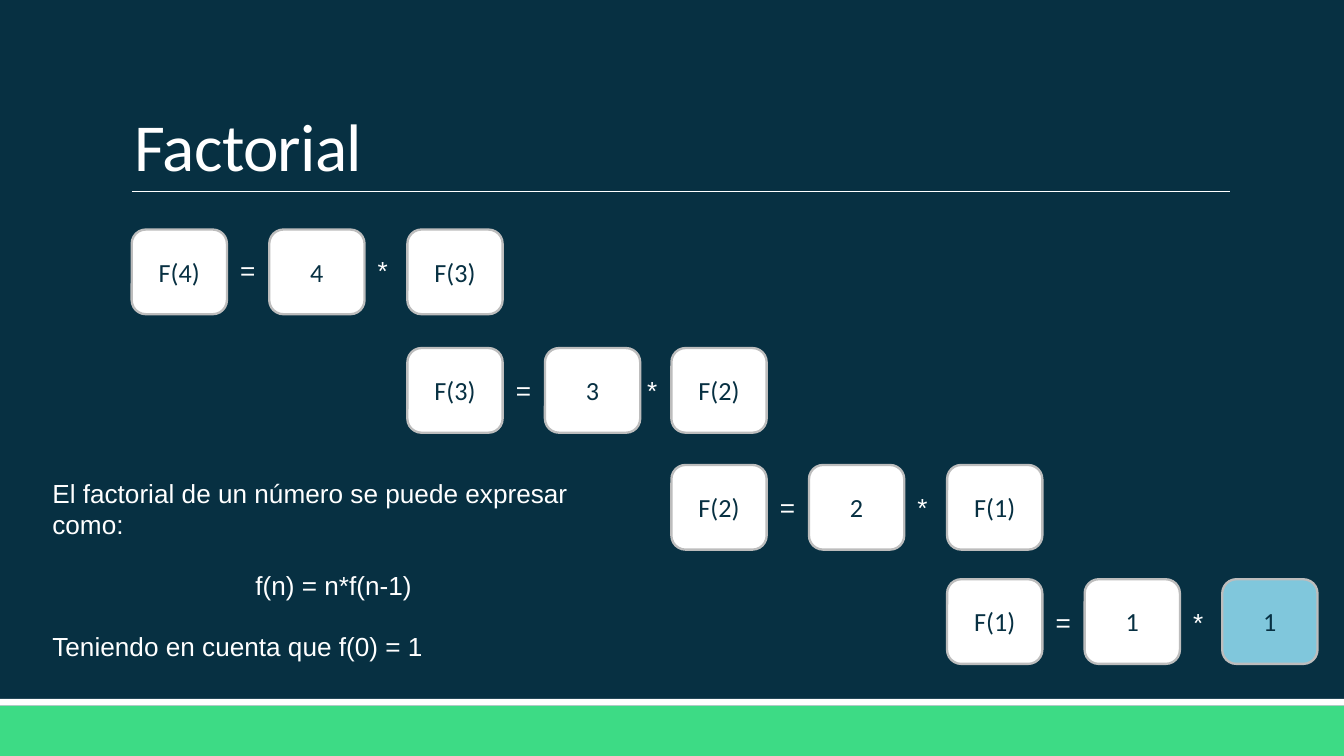
"""Build the slide that unfolds the factorial recursion step by step."""
from lxml import etree
from pptx import Presentation
from pptx.dml.color import RGBColor
from pptx.enum.shapes import MSO_CONNECTOR, MSO_SHAPE
from pptx.enum.text import MSO_ANCHOR, MSO_AUTO_SIZE, PP_ALIGN
from pptx.oxml.ns import qn
from pptx.util import Cm, Pt

RECT, ROUNDED = MSO_SHAPE.RECTANGLE, MSO_SHAPE.ROUNDED_RECTANGLE
STRAIGHT = MSO_CONNECTOR.STRAIGHT
LEFT, CENTER = PP_ALIGN.LEFT, PP_ALIGN.CENTER
MIDDLE, BOTTOM = MSO_ANCHOR.MIDDLE, MSO_ANCHOR.BOTTOM
GROW, FIXED = MSO_AUTO_SIZE.SHAPE_TO_FIT_TEXT, MSO_AUTO_SIZE.NONE

NAVY, WHITE, GREEN, GRAY, BLUE = "073042", "FFFFFF", "3DDB85", "BDBDBD", "80C7DC"
WIDTH, HEIGHT = 25.4, 14.29
TITLE = "Factorial"
NOTES = [
    ("El factorial de un número se puede expresar como:", LEFT, 0),
    ("f(n) = n*f(n-1)", CENTER, 16),
    ("Teniendo en cuenta que f(0) = 1", LEFT, 16),
]
STEPS = [
    (("F(4)", "4", "F(3)"), 4.34, 4.68),
    (("F(3)", "3", "F(2)"), 6.58, 6.96),
    (("F(2)", "2", "F(1)"), 8.79, 9.17),
    (("F(1)", "1", "1"), 10.95, 11.33),
]
STEP_LEFTS = [2.49, 7.7, 12.69, 17.9, 23.1]
CARD_W, CARD_H, CARD_PITCH = 1.8, 1.6, 2.6
EQUALS_W, TIMES_W, SIGN_H = 0.81, 0.71, 0.86
BARS = [(13.34, 0.95, GREEN), (13.21, 0.13, WHITE)]


def rgb(code):
    """Turn a hex string into a colour."""
    return RGBColor.from_string(code)


def add_span(para, text, font="Arial", size=14, color=WHITE):
    """Add one formatted run."""
    span = para.add_run()
    span.text = text
    span.font.name = font
    span.font.size = Pt(size)
    span.font.color.rgb = rgb(color)
    return span


def add_block(page, kind, place, fill, line=None):
    """Add a filled shape with an optional outline."""
    block = page.shapes.add_shape(kind, *map(Cm, place))
    block.shadow.inherit = False
    block.fill.solid()
    block.fill.fore_color.rgb = rgb(fill)
    if line:
        block.line.color.rgb = rgb(line)
        block.line.width = Pt(1.25)
    else:
        block.line.fill.background()
    return block


def add_text(page, place, lines, wrap=False):
    """Add a text box holding (text, alignment, space before) lines."""
    frame = page.shapes.add_textbox(*map(Cm, place)).text_frame
    frame.word_wrap = wrap
    frame.auto_size = GROW
    for index, (text, align, gap) in enumerate(lines):
        para = frame.add_paragraph() if index else frame.paragraphs[0]
        para.alignment = align
        para.space_before = Pt(gap)
        add_span(para, text)


def add_card(page, left, top, text, fill):
    """Add one rounded card of a step."""
    card = add_block(page, ROUNDED, (left, top, CARD_W, CARD_H), fill, GRAY)
    card.text_frame.vertical_anchor = MIDDLE
    para = card.text_frame.paragraphs[0]
    para.alignment = CENTER
    add_span(para, text, "Calibri", 14, NAVY)


def add_step(page, left, next_left, step):
    """Add the three cards of a step and the signs between them."""
    texts, top, sign_top = step
    number_left = left + CARD_PITCH
    for text, card_left in zip(texts, (left, number_left, next_left)):
        is_result = step is STEPS[-1] and card_left == next_left
        add_card(page, card_left, top, text, BLUE if is_result else WHITE)
    times_left = min(number_left + CARD_W, next_left - TIMES_W)
    signs = [("=", left + CARD_W, EQUALS_W), ("*", times_left, TIMES_W)]
    for sign, sign_left, width in signs:
        add_text(page, (sign_left, sign_top, width, SIGN_H), [(sign, LEFT, 0)])


def add_title(page):
    """Place and format the title and the rule under it."""
    rule = page.shapes.add_connector(STRAIGHT, Cm(2.49), Cm(3.62), Cm(23.24), Cm(3.62))
    rule.line.color.rgb = rgb(WHITE)
    rule.line.width = Pt(0.5)
    etree.SubElement(rule._element.spPr, qn("a:effectLst"))
    title = page.shapes.title
    title.left, title.top, title.width, title.height = map(Cm, (2.29, 0.61, 20.95, 3.02))
    title.text_frame.auto_size = FIXED
    title.text_frame.vertical_anchor = BOTTOM
    para = title.text_frame.paragraphs[0]
    para.alignment = LEFT
    para.line_spacing = 0.85
    span = add_span(para, TITLE, "Calibri", 36)
    span._r.get_or_add_rPr().set("spc", "-40")


deck = Presentation()
deck.slide_width, deck.slide_height = Cm(WIDTH), Cm(HEIGHT)
page = deck.slides.add_slide(deck.slide_layouts[5])
page.background.fill.solid()
page.background.fill.fore_color.rgb = rgb(NAVY)
for bar_top, bar_height, bar_color in BARS:
    add_block(page, RECT, (0, bar_top, WIDTH, bar_height), bar_color)
add_title(page)
add_text(page, (0.74, 8.89, 11.13, 3.84), NOTES, wrap=True)
for left, next_left, step in zip(STEP_LEFTS, STEP_LEFTS[1:], STEPS):
    add_step(page, left, next_left, step)
deck.save("out.pptx")
